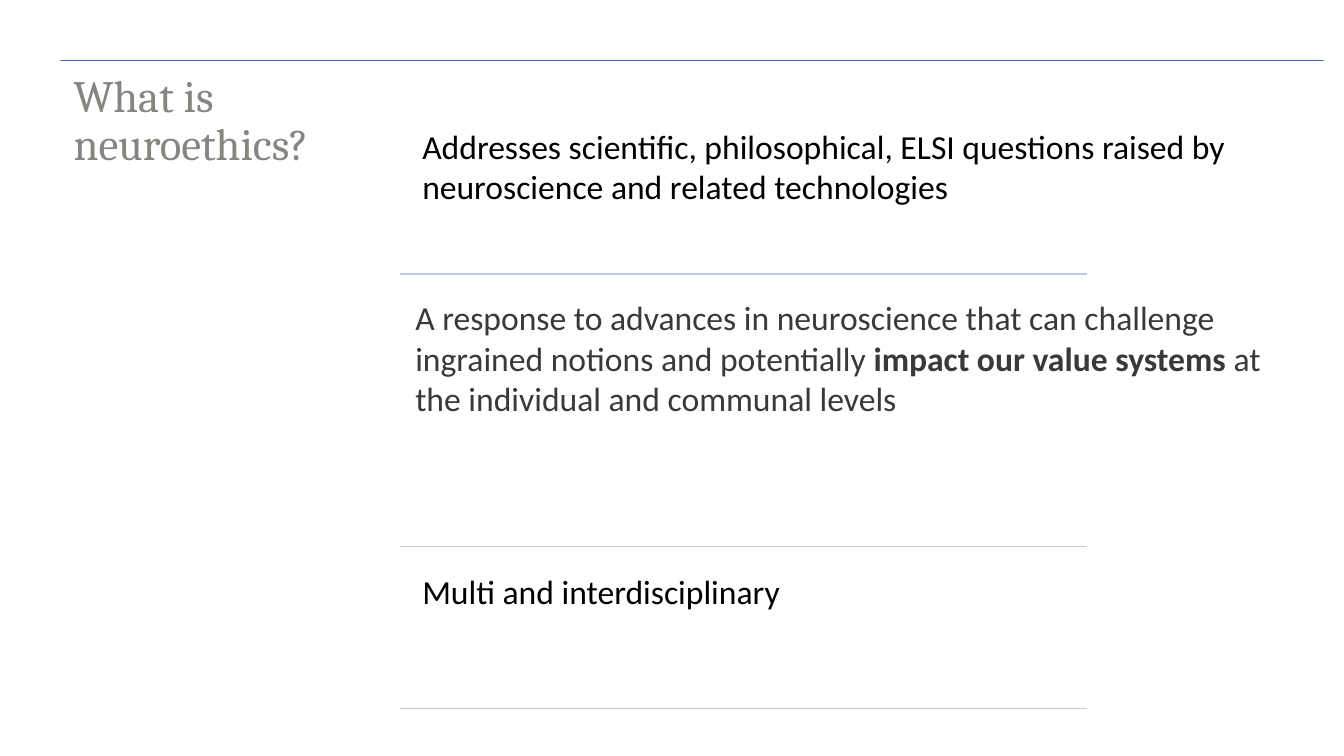
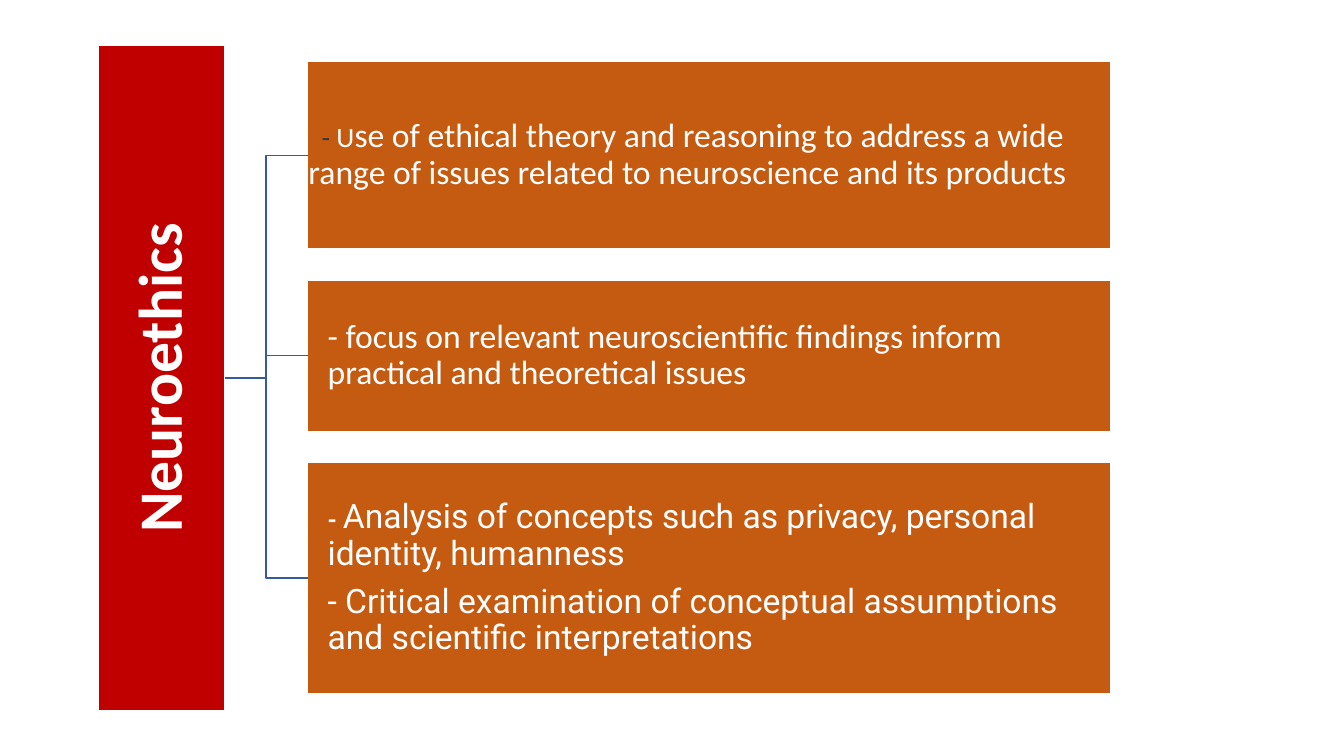
from lxml import etree
from pptx import Presentation
from pptx.dml.color import RGBColor
from pptx.enum.shapes import MSO_CONNECTOR, MSO_SHAPE
from pptx.enum.text import MSO_ANCHOR, PP_ALIGN
from pptx.oxml.ns import qn
from pptx.util import Inches, Pt

RECT = MSO_SHAPE.RECTANGLE
STRAIGHT, ELBOW = MSO_CONNECTOR.STRAIGHT, MSO_CONNECTOR.ELBOW
TOP, MIDDLE = MSO_ANCHOR.TOP, MSO_ANCHOR.MIDDLE
LEFT, CENTER = PP_ALIGN.LEFT, PP_ALIGN.CENTER
SITE_LEFT, SITE_RIGHT = 1, 3

WHITE = RGBColor(0xFF, 0xFF, 0xFF)
BLACK = RGBColor(0x00, 0x00, 0x00)
CHARCOAL = RGBColor(0x3B, 0x38, 0x38)
TITLE_GRAY = RGBColor(0x82, 0x87, 0x80)
BLUE = RGBColor(0x44, 0x72, 0xC4)
PALE_BLUE = RGBColor(0xC1, 0xC9, 0xE4)
BRANCH_BLUE = RGBColor(0x36, 0x5B, 0x9D)
RED = RGBColor(0xC0, 0x00, 0x00)
ORANGE = RGBColor(0xC5, 0x5A, 0x11)

BODY_FONT, TITLE_FONT, ALT_FONT = "Calibri", "Cambria", "Roboto"


def run(text, size=24, color=WHITE, bold=False, font=BODY_FONT):
    """Describe one run of text."""
    return text, size, color, bold, font


def write(sp, paragraphs, insets, anchor=TOP, align=LEFT, spacing=0.9):
    """Fill a shape with paragraphs, each a list of runs."""
    tf = sp.text_frame
    tf.word_wrap = True
    tf.vertical_anchor = anchor
    (tf.margin_left, tf.margin_top,
     tf.margin_right, tf.margin_bottom) = map(Inches, insets)
    for i, runs in enumerate(paragraphs):
        p = tf.paragraphs[0] if i == 0 else tf.add_paragraph()
        p.alignment = align
        p.line_spacing = spacing
        p.space_after = Pt(8.4)
        for text, size, color, bold, font in runs:
            r = p.add_run()
            r.text = text
            r.font.size = Pt(size)
            r.font.color.rgb = color
            r.font.bold = bold
            r.font.name = font


def text_box(slide, box, runs, insets, spacing=1.0):
    sp = slide.shapes.add_textbox(*map(Inches, box))
    write(sp, [runs], insets, spacing=spacing)


def block(slide, box, fill):
    """Filled rectangle with a thin white edge."""
    sp = slide.shapes.add_shape(RECT, *map(Inches, box))
    sp.shadow.inherit = False
    sp.fill.solid()
    sp.fill.fore_color.rgb = fill
    sp.line.color.rgb = WHITE
    sp.line.width = Pt(1)
    return sp


def line(slide, kind, ends, color):
    cn = slide.shapes.add_connector(kind, *map(Inches, ends))
    cn.line.color.rgb = color
    cn.line.width = Pt(1)
    etree.SubElement(cn._element.spPr, qn("a:effectLst"))
    return cn


def definition_slide(slide, box):
    """Title column on the left, ruled statements on the right."""
    x, y, w, h = box
    line(slide, STRAIGHT, (x, y, x + w, y), BLUE)
    text_box(slide, (x, y, 3.36, h),
             [run("What is neuroethics?", 32, TITLE_GRAY, font=TITLE_FONT)],
             (0.13,) * 4, 0.9)

    # Rules under the statements
    rule_x = x + 3.37
    for rule_y in (y + 2.12, y + 4.82, y + 6.43):
        line(slide, STRAIGHT, (rule_x, rule_y, rule_x + 6.81, rule_y), PALE_BLUE)

    # Statements
    text_box(slide, (x + 3.49, y + 0.55, 9.03, 1.86),
             [run("Addresses scientific, philosophical, ELSI questions raised by "
                  "neuroscience and related technologies", color=BLACK)],
             (0.1,) * 4)
    text_box(slide, (x + 3.42, y + 2.3, 8.71, 1.62),
             [run("A response to advances in neuroscience that can challenge "
                  "ingrained notions and potentially ", color=CHARCOAL),
              run("impact our value systems ", color=CHARCOAL, bold=True),
              run("at the individual and communal levels", color=CHARCOAL)],
             (0.1, 0.05, 0.1, 0.05))
    text_box(slide, (x + 3.49, y + 5.01, 6.67, 1.42),
             [run("Multi and interdisciplinary", color=BLACK)],
             (0.1,) * 4, 0.9)


def tree_slide(slide, box):
    """Upright root bar branching to three topic blocks."""
    x, y, w, h = box
    root = block(slide, (x, y, 1.25, h), RED)
    write(root, [[run("Neuroethics", 44, bold=True)]], (0.03,) * 4,
          MIDDLE, CENTER)
    root.text_frame._txBody.bodyPr.set("vert", "vert270")

    # Height, insets and paragraphs of each topic
    padded = (0.2, 0.02, 0.08, 0.02)
    topics = [
        (1.86, (0.01,) * 4,
         [[run("- ", 20, CHARCOAL), run("U", 20),
           run("se of ethical theory and reasoning to address a wide range of "
               "issues related to neuroscience and its products")]]),
        (1.5, padded,
         [[run("- focus on relevant neuroscientific findings inform practical "
               "and theoretical issues")]]),
        (2.29, padded,
         [[run("- ", 17, bold=True, font=ALT_FONT),
           run("Analysis of concepts such as privacy, personal identity, "
               "humanness", font=ALT_FONT)],
          [run("- Critical examination of conceptual assumptions and "
               "scientific interpretations", font=ALT_FONT)]]),
    ]
    gap, indent = 0.31, 2.07
    top = y + 0.16
    for i, (height, insets, paragraphs) in enumerate(topics):
        topic = block(slide, (x + indent, top, w - indent, height), ORANGE)
        write(topic, paragraphs, insets, MIDDLE)
        if i == 0:
            # First-line indent of the opening topic
            pPr = topic.text_frame.paragraphs[0]._p.get_or_add_pPr()
            pPr.set("indent", str(Inches(0.13)))
        branch = line(slide, ELBOW, (x + 1.25, y + h / 2,
                                     x + indent, top + height / 2), BRANCH_BLUE)
        branch.begin_connect(root, SITE_RIGHT)
        branch.end_connect(topic, SITE_LEFT)
        top += height + gap


def main():
    prs = Presentation()
    prs.slide_width, prs.slide_height = Inches(13.33), Inches(7.5)
    blank = prs.slide_layouts[6]
    definition_slide(prs.slides.add_slide(blank), (0.6, 0.6, 12.53, 6.61))
    tree_slide(prs.slides.add_slide(blank), (0.98, 0.45, 10.04, 6.6))
    prs.save("out.pptx")


if __name__ == "__main__":
    main()
